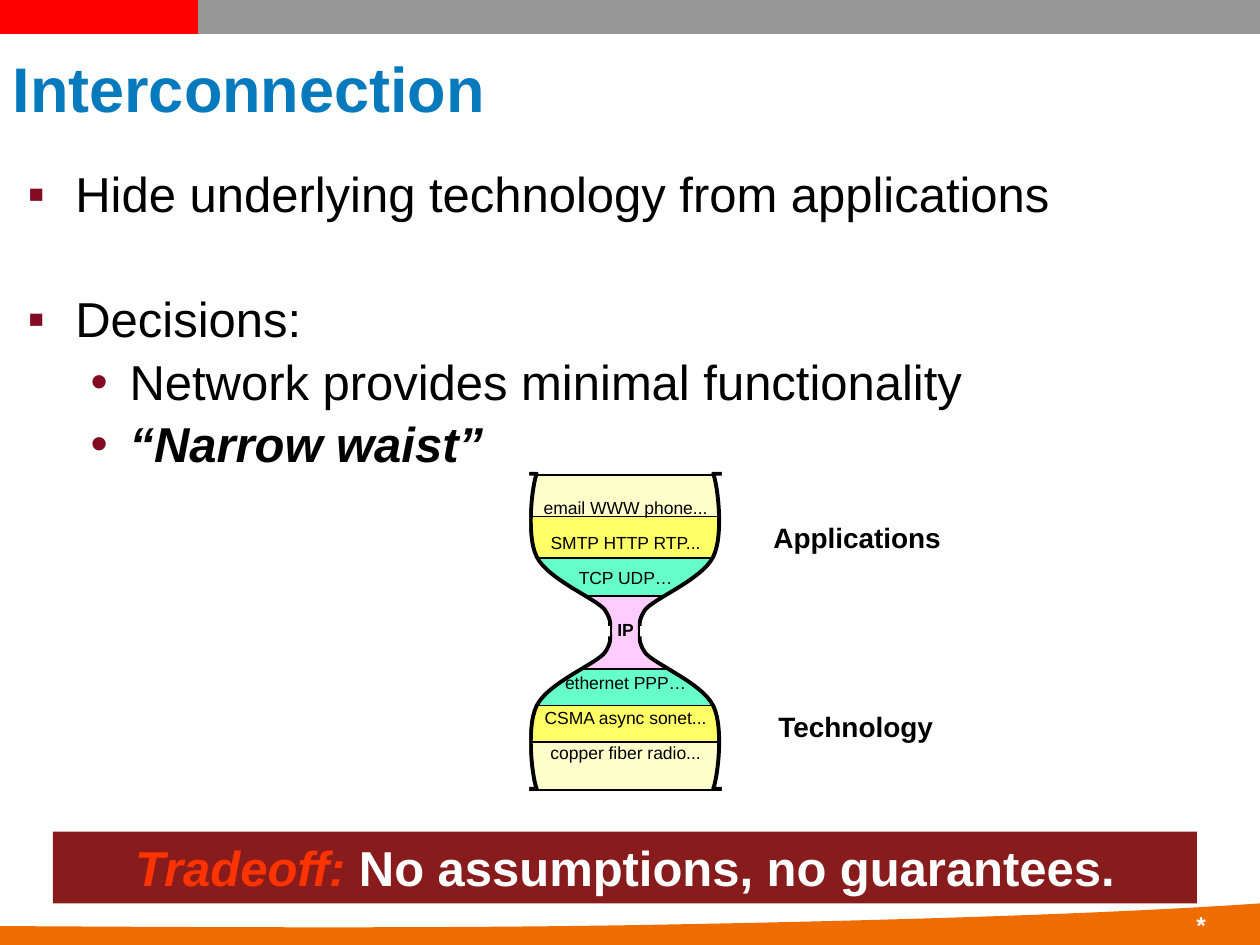
"""Build the Interconnection slide with its hourglass of protocol layers."""
from lxml import etree
from pptx import Presentation
from pptx.dml.color import RGBColor
from pptx.enum import text
from pptx.enum import shapes
from pptx.oxml import ns
from pptx.util import Pt

PX = 9144
WHITE = RGBColor(0xFF, 0xFF, 0xFF)
BLACK = RGBColor(0, 0, 0)
GREY = RGBColor(0x96, 0x96, 0x96)
RED = RGBColor(0xFF, 0, 0)
BLUE = RGBColor(0x06, 0x7A, 0xBD)
ORANGE = RGBColor(0xEE, 0x6C, 0)
MAROON = RGBColor(0x88, 0x1C, 0x1C)
WINE = RGBColor(0x84, 0x0C, 0x22)
FLAME = RGBColor(0xFF, 0x33, 0)
CREAM = RGBColor(0xFF, 0xFF, 0xCC)
YELLOW = RGBColor(0xFF, 0xFF, 0x66)
MINT = RGBColor(0x66, 0xFF, 0xCC)
PINK = RGBColor(0xFF, 0xCC, 0xFF)
LEFT, MID, RIGHT = (text.PP_ALIGN.LEFT, text.PP_ALIGN.CENTER,
                    text.PP_ALIGN.RIGHT)


def put(item, vals):
    for name, val in vals.items():
        setattr(item, name, val)


class Page:
    font = "Arial"

    def __init__(self, deck):
        self.slide = deck.slides.add_slide(deck.slide_layouts[5])
        self.shapes = self.slide.shapes

    def group(self):
        self.shapes = self.slide.shapes.add_group_shape().shapes

    def paint(self, shape, fill, line=None, width=0.75):
        shape.shadow.inherit = False
        shape.fill.solid()
        shape.fill.fore_color.rgb = fill
        if line is None:
            shape.line.fill.background()
        else:
            shape.line.color.rgb = line
            shape.line.width = Pt(width)
        return shape

    def rect(self, box, fill, line=None):
        shape = self.shapes.add_shape(shapes.MSO_SHAPE.RECTANGLE,
                                      *(n * PX for n in box))
        return self.paint(shape, fill, line)

    def free(self, points, bends, fill, line=None, width=0.75):
        first, *rest = [(x * PX, y * PX) for x, y in points]
        form = self.shapes.build_freeform(*first)
        form.add_line_segments(rest, close=True)
        shape = form.convert_to_shape()
        legs = list(shape._element.iter(ns.qn("a:lnTo")))
        for i in range(0, 3 * bends, 3):
            curve = etree.Element(ns.qn("a:cubicBezTo"))
            legs[i].addprevious(curve)
            for leg in legs[i:i + 3]:
                curve.append(leg[0])
                leg.getparent().remove(leg)
        return self.paint(shape, fill, line, width)

    def bar(self, end, color):
        line = self.shapes.add_connector(shapes.MSO_CONNECTOR.STRAIGHT,
                                         0, 13 * PX, end * PX, 13 * PX)
        line.line.color.rgb = color
        line.line.width = Pt(20)
        etree.SubElement(line._element.spPr, ns.qn("a:effectLst"))

    def title(self, words, box, size, color):
        shape = self.slide.shapes.title
        put(shape, dict(zip(("left", "top", "width", "height"),
                            (n * PX for n in box))))
        put(shape.text_frame, {"auto_size": text.MSO_AUTO_SIZE.NONE,
                               "vertical_anchor": text.MSO_ANCHOR.MIDDLE})
        self.para(shape.text_frame.paragraphs[0],
                  [(words, color, {"bold": True})], size)

    def note(self, box, wrap=True):
        shape = self.shapes.add_textbox(*(n * PX for n in box))
        shape.text_frame.word_wrap = wrap
        return shape.text_frame

    def para(self, para, runs, size, align=LEFT, **gaps):
        put(para, {"alignment": align, **gaps})
        for words, color, style in runs:
            run = para.add_run()
            run.text = words
            put(run.font, {"name": self.font, "size": Pt(size), **style})
            run.font.color.rgb = color

    def list(self, frame, rows, size, **gaps):
        for i, (words, style, before, mark) in enumerate(rows):
            para = frame.add_paragraph() if i else frame.paragraphs[0]
            if mark:
                self.mark(para, *mark)
            self.para(para, [(words, BLACK, style)], size,
                      space_before=Pt(before), **gaps)

    def mark(self, para, sign, level, margin, hang):
        para.level = level
        props = para._p.get_or_add_pPr()
        props.set("marL", str(margin * PX))
        props.set("indent", str(-hang * PX))
        tint = etree.SubElement(props, ns.qn("a:buClr"))
        etree.SubElement(tint, ns.qn("a:srgbClr")).set("val", str(WINE))
        etree.SubElement(props, ns.qn("a:buFont")).set("typeface", self.font)
        etree.SubElement(props, ns.qn("a:buChar")).set("char", sign)


def frame(page):
    page.bar(1000, GREY)
    page.free([(0, 735), (176, 736), (352, 737), (519, 734),
               (686, 731), (870, 726), (1000, 717),
               (1000, 750), (0, 750)], 2, ORANGE)
    star = page.note((900, 717, 67, 33))
    page.para(star.paragraphs[0], [("*", WHITE, {"bold": True})], 14, RIGHT)
    page.bar(157, RED)


def points(page):
    page.title("Interconnection", (0, 32, 975, 74), 36, BLUE)
    square, dot = ("▪", 0, 38, 38), ("•", 1, 81, 31)
    page.list(page.note((12, 130, 975, 575)), [
        ("Hide underlying technology from applications", {}, 0, square),
        ("Decisions:", {}, 41.4, square),
        ("Network provides minimal functionality", {}, 5.4, dot),
        ("“Narrow waist”", {"bold": True, "italic": True}, 5.4, dot),
    ], 28, line_spacing=0.9)
    box = page.rect((42, 660, 908, 57), MAROON).text_frame
    put(box, {"word_wrap": True, "vertical_anchor": text.MSO_ANCHOR.TOP})
    page.para(box.paragraphs[0],
              [("Tradeoff:", FLAME, {"bold": True, "italic": True}),
               (" No assumptions, no guarantees.", WHITE, {"bold": True})],
              28, MID)
    for words, spot in (("Technology", (608, 558, 144, 37)),
                        ("Applications", (604, 408, 153, 37))):
        page.para(page.note(spot, False).paragraphs[0],
                  [(words, BLACK, {"bold": True})], 16)


def glass(page):
    page.group()
    top = 377
    for high, fill in ((33, CREAM), (33, YELLOW), (30, MINT), (58, PINK),
                       (29, MINT), (29, YELLOW), (38, CREAM)):
        page.rect((417, top, 158, high), fill, BLACK)
        top += high
    side = [(426, 376), (423, 382), (417, 424), (426, 442),
            (435, 460), (473, 475), (480, 484),
            (486, 493), (484, 497), (484, 501), (417, 501), (417, 376)]
    for right in (False, True):
        for low in (False, True):
            page.free([(992 - x if right else x, 1002 - y if low else y)
                       for x, y in side], 3, WHITE, BLACK, 2.25)
    for box in ((408, 372, 12, 258), (573, 372, 4, 258),
                (413, 497, 71, 8), (508, 497, 71, 8)):
        page.rect(box, WHITE)
    page.list(page.note((413, 385, 167, 235)), [
        ("email WWW phone...", {}, 0, None),
        ("SMTP HTTP RTP...", {}, 5, None),
        ("TCP UDP…", {}, 5, None),
        ("IP", {"bold": True}, 15, None),
        ("ethernet PPP…", {}, 15, None),
        ("CSMA async sonet...", {}, 5, None),
        ("copper fiber radio...", {}, 5, None),
    ], 10, align=MID, line_spacing=1.25)


def main():
    deck = Presentation()
    put(deck, {"slide_width": 1000 * PX, "slide_height": 750 * PX})
    page = Page(deck)
    frame(page)
    points(page)
    glass(page)
    deck.save("out.pptx")


if __name__ == "__main__":
    main()
